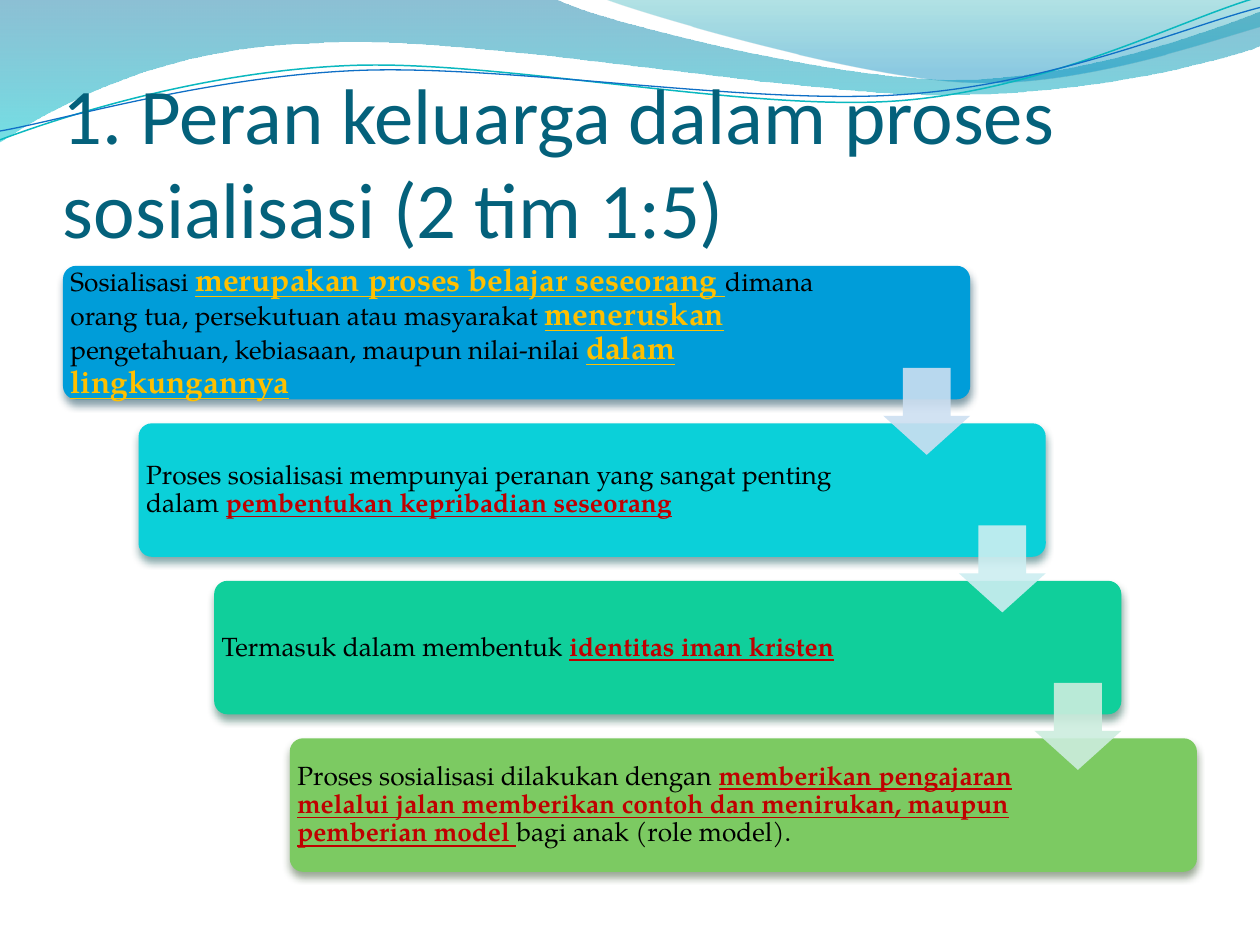
from math import cos, radians, sin
from lxml.etree import SubElement
from pptx import Presentation
from pptx.dml.color import RGBColor
from pptx.enum.shapes import MSO_SHAPE as SHAPE
from pptx.enum.text import MSO_ANCHOR as ANCHOR
from pptx.oxml.ns import qn
from pptx.util import Inches, Pt

BODY = dict(name="TeX Gyre Pagella", size=15, color="000000")
RED = dict(color="C00000", bold=True, underline=True)
GOLD = dict(RED, color="FFC000", size=18)
TILT = 2.7

# Start point, then segments: two numbers for a line, six for a Bezier curve.
WAVES = [
    ((0, 0), [(4.4, -0.01), (4.76, 0.17, 6.64, 0.63, 7.58, 0.63),
              (8.53, 0.63, 9.58, 0.26, 10, 0.09), (10.01, 0.36),
              (9.83, 0.44, 8.7, 0.76, 7.46, 0.75),
              (6.22, 0.75, 3.82, 0.28, 2.57, 0.34),
              (1.29, 0.36, 0.46, 0.83, -0.01, 1.13), (0, 0)],
     [(0, "0074A1", 45), (1, "00C6CF", 55)]),
    ((4.79, -0.01), [(5.09, 0.11, 6.82, 0.62, 7.69, 0.65),
                     (8.56, 0.69, 9.61, 0.32, 10, 0.21), (10, 0),
                     (4.79, -0.01)],
     [(0, "00A1A9", 30), (0.8, "008BBF", 45)]),
]
# Start point, segments, centre of the tilt, colour, width.
STRANDS = [
    ((0, 1.11), [(0.48, 0.93, 1.58, 0.57, 2.77, 0.52),
                 (3.95, 0.47, 5.93, 0.89, 7.13, 0.8),
                 (8.33, 0.71, 9.38, 0.15, 9.98, -0.02)],
     (4.99, 0.58), "0AB8BF", 0.85),
    ((0, 1.04), [(0.47, 0.96, 1.64, 0.61, 2.83, 0.56),
                 (4.03, 0.51, 5.97, 0.84, 7.17, 0.75),
                 (8.36, 0.67, 9.41, 0.21, 10, 0.06)],
     (5, 0.59), "0F6FC6", 0.75),
]
# Fill, shadow, text width, runs.
STEPS = [
    ("009DD9", "00374C", 6.03, [
        ("Sosialisasi ", {}), ("merupakan proses belajar seseorang ", GOLD),
        ("dimana orang tua, persekutuan atau masyarakat ", {}),
        ("meneruskan", GOLD), (" ", dict(color="FFFFFF")),
        ("pengetahuan, kebiasaan, maupun nilai-nilai ", {}),
        ("dalam lingkungannya", GOLD)]),
    ("0BD0D9", "024B4E", 5.91, [
        ("Proses sosialisasi mempunyai peranan yang sangat penting dalam ", {}),
        ("pembentukan kepribadian seseorang", RED)]),
    ("10CF9B", "044A37", 5.92, [
        ("Termasuk dalam membentuk ", {}), ("identitas iman kristen", RED)]),
    ("7CCA62", "2B4821", 5.91, [
        ("Proses sosialisasi dilakukan dengan ", {}),
        ("memberikan pengajaran melalui jalan memberikan contoh dan menirukan, "
         "maupun pemberian model ", RED),
        ("bagi anak (role model).", {})]),
]
ARROWS = ["CCDFF1", "CCEEF1", "CCEDDE"]


def rgb(value):
    """Turn a hex string into a colour."""
    return RGBColor.from_string(value)


def set_alpha(clr, percent):
    """Give a colour element its opacity."""
    SubElement(clr, qn("a:alpha"), val=str(percent * 1000))


def add_solid(slide, kind, box, color, adjustments):
    """Add a preset shape with a plain fill and no line or shadow."""
    sp = slide.shapes.add_shape(kind, *map(Inches, box))
    for i, value in enumerate(adjustments):
        sp.adjustments[i] = value
    sp.fill.solid()
    sp.fill.fore_color.rgb = rgb(color)
    sp.line.fill.background()
    sp.shadow.inherit = False
    return sp


def add_shadow(sp, color):
    """Add a soft shadow below a shape."""
    effects = sp.element.spPr.find(qn("a:effectLst"))
    shadow = SubElement(effects, qn("a:outerShdw"), blurRad=str(Pt(4.5)),
                        dist=str(Pt(3)), dir="5400000", rotWithShape="0")
    set_alpha(SubElement(shadow, qn("a:srgbClr"), val=color), 48)


def add_text(slide, box, runs, base, anchor, insets, spacing=None):
    """Add a wrapped text box holding one paragraph of formatted runs."""
    tf = slide.shapes.add_textbox(*map(Inches, box)).text_frame
    tf.word_wrap = True
    tf.vertical_anchor = anchor
    for side, inset in zip(("left", "top", "right", "bottom"), insets):
        setattr(tf, f"margin_{side}", Inches(inset))
    p = tf.paragraphs[0]
    p.line_spacing = spacing
    for text, extra in runs:
        r = p.add_run()
        r.text = text
        form = {**base, **extra}
        r.font.color.rgb = rgb(form.pop("color"))
        r.font.size = Pt(form.pop("size"))
        for key, value in form.items():
            setattr(r.font, key, value)


def pairs(seg):
    """Split a flat segment into its points."""
    return list(zip(seg[::2], seg[1::2]))


def turn(point, centre, degrees):
    """Turn a point clockwise about a centre."""
    a = radians(degrees)
    x, y = point[0] - centre[0], point[1] - centre[1]
    return (centre[0] + x * cos(a) - y * sin(a),
            centre[1] + x * sin(a) + y * cos(a))


def add_path(slide, start, segments, close, centre=(0, 0), tilt=0):
    """Add an outline of lines and Bezier curves, tilted anticlockwise."""
    points = [start] + [pt for seg in segments for pt in pairs(seg)]
    points = [tuple(map(Inches, turn(pt, centre, tilt))) for pt in points]
    builder = slide.shapes.build_freeform(*points[0])
    builder.add_line_segments(points[1:], close=close)
    sp = builder.convert_to_shape()
    lines = sp.element.spPr.iter(qn("a:lnTo"))
    lines = iter(list(lines))
    for seg in segments:
        group = [next(lines) for _ in pairs(seg)]
        if len(group) == 3:
            group[0].tag = qn("a:cubicBezTo")
            for line in group[1:]:
                group[0].append(line[0])
                line.getparent().remove(line)
    sp.rotation = -tilt % 360
    sp.shadow.inherit = False
    return sp


def add_waves(slide):
    """Draw the decorative waves across the top."""
    for start, segments, stops in WAVES:
        sp = add_path(slide, start, segments, True)
        sp.line.fill.background()
        sp.fill.gradient()
        sp.fill.gradient_angle = 270
        for stop, (position, color, _) in zip(sp.fill.gradient_stops, stops):
            stop.position = position
            stop.color.rgb = rgb(color)
        for clr, stop in zip(sp.element.spPr.iter(qn("a:srgbClr")), stops):
            set_alpha(clr, stop[2])
    for start, segments, centre, color, width in STRANDS:
        sp = add_path(slide, start, segments, False, centre, TILT)
        sp.fill.background()
        sp.line.color.rgb = rgb(color)
        sp.line.width = Pt(width)


def add_staircase(slide, left, top, width, height):
    """Draw the descending steps and the arrows that join them."""
    step_w, step_h, arrow = 7.2, 1.06, 0.69
    dx = (width - step_w) / (len(STEPS) - 1)
    dy = (height - step_h) / (len(STEPS) - 1)
    for i, (color, shade, text_w, runs) in enumerate(STEPS):
        x, y = left + i * dx, top + i * dy
        sp = add_solid(slide, SHAPE.ROUNDED_RECTANGLE,
                       (x, y, step_w, step_h), color, [0.1])
        add_shadow(sp, shade)
        add_text(slide, (x, y, text_w, step_h), runs, BODY, ANCHOR.MIDDLE,
                 [0.06] * 4, 0.9)
    for i, color in enumerate(ARROWS):
        box = (left + i * dx + step_w - arrow, top + i * dy + 0.81, arrow, arrow)
        sp = add_solid(slide, SHAPE.DOWN_ARROW, box, color, [0.55, 0.45])
        set_alpha(next(sp.element.spPr.iter(qn("a:srgbClr"))), 90)


prs = Presentation()
prs.slide_width, prs.slide_height = Inches(10), Inches(7.5)
slide = prs.slides.add_slide(prs.slide_layouts[6])
add_waves(slide)
add_text(slide, (0.5, 0.77, 9, 1.25),
         [("1. Peran keluarga dalam proses sosialisasi (2 tim 1:5)", {})],
         dict(name="Calibri", size=45, color="04617B"), ANCHOR.BOTTOM,
         (0, 0.05, 0, 0))
add_staircase(slide, 0.5, 2.11, 9, 4.81)
prs.save("out.pptx")
